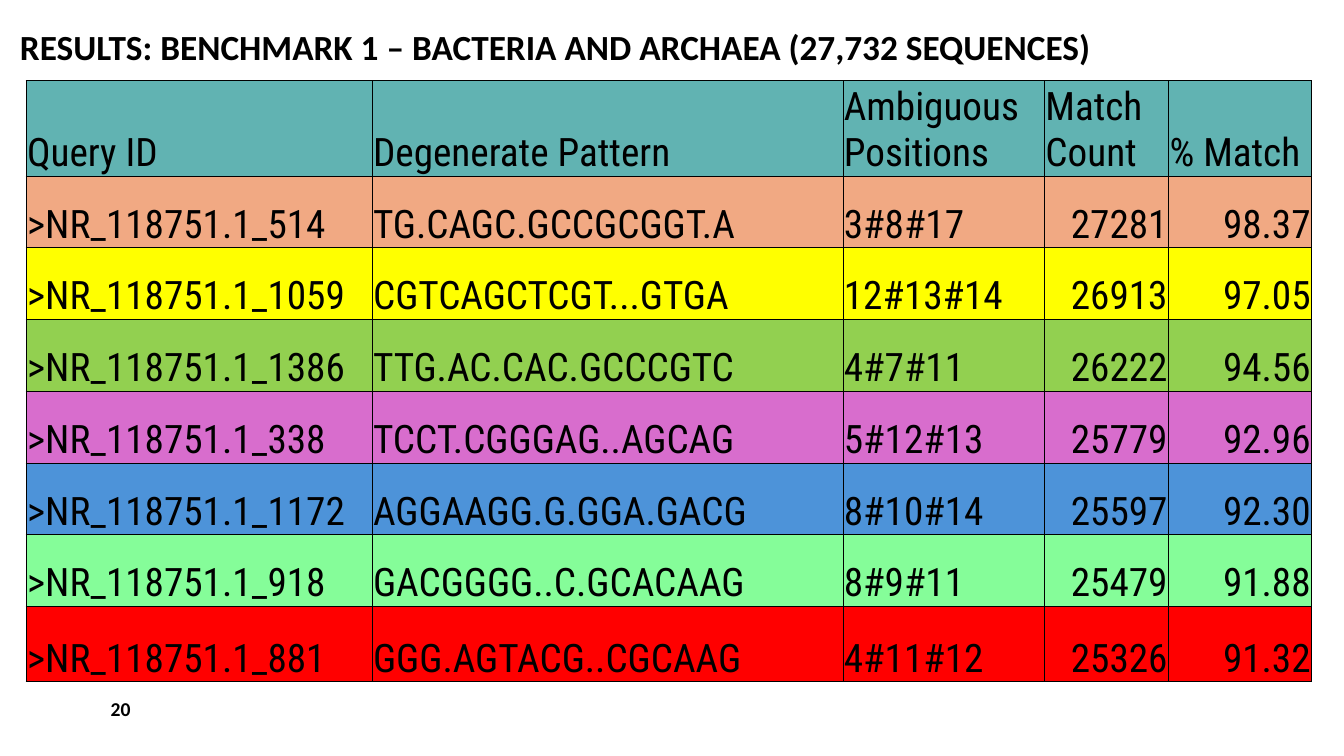
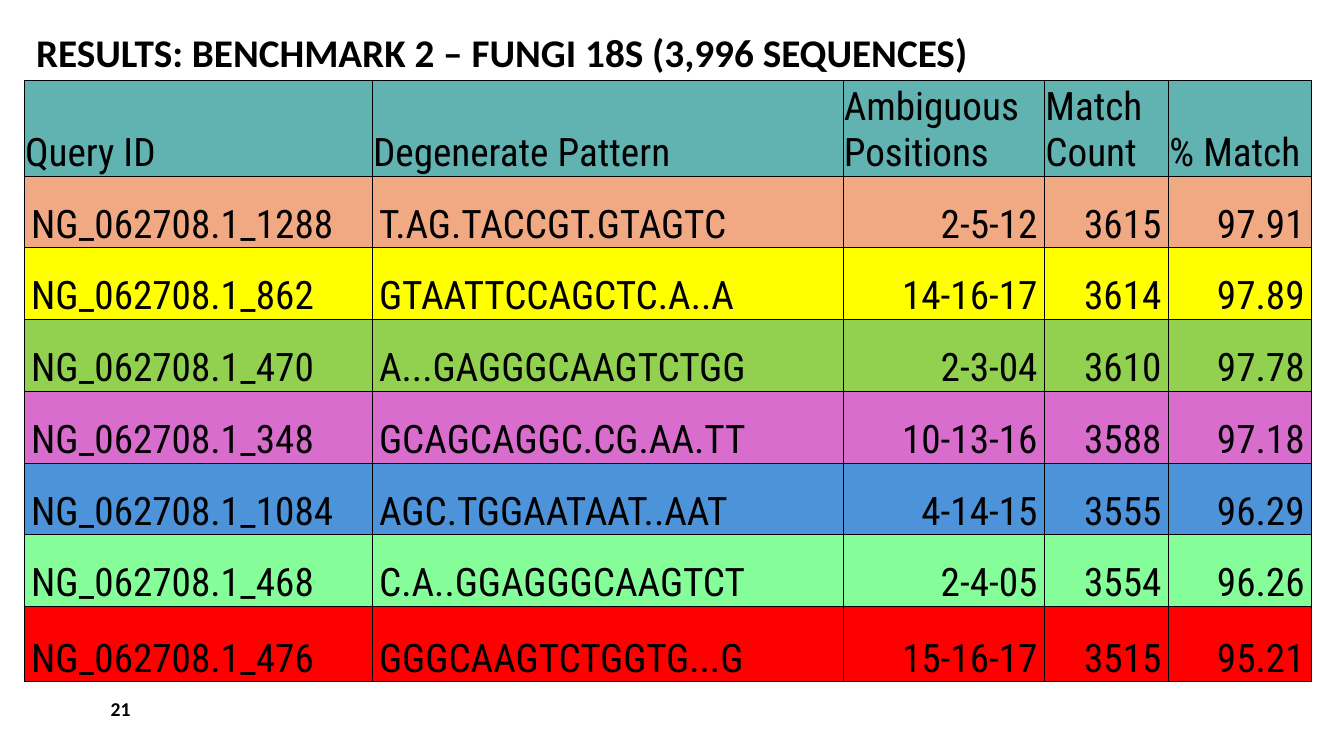
from lxml import etree
from pptx import Presentation
from pptx.dml.color import RGBColor
from pptx.enum.text import MSO_ANCHOR, PP_ALIGN
from pptx.oxml.ns import qn
from pptx.util import Inches, Pt

BOTTOM, MIDDLE = MSO_ANCHOR.BOTTOM, MSO_ANCHOR.MIDDLE
LEFT, RIGHT = PP_ALIGN.LEFT, PP_ALIGN.RIGHT

COLORS = {
    "ink": "000000",
    "paper": "FFFFFF",
    "header": "61B3B2",
    "peach": "F1A983",
    "yellow": "FFFF00",
    "green": "92D050",
    "orchid": "D86DCD",
    "blue": "4D93D9",
    "mint": "85FD99",
    "red": "FF0000",
}
ROW_COLORS = ["peach", "yellow", "green", "orchid", "blue", "mint", "red"]
HEADINGS = ["Query ID", "Degenerate Pattern", "Ambiguous Positions", "Match Count", "% Match"]

BACTERIA_ROWS = [
    (">NR_118751.1_514", "TG.CAGC.GCCGCGGT.A", "3#8#17", "27281", "98.37"),
    (">NR_118751.1_1059", "CGTCAGCTCGT...GTGA", "12#13#14", "26913", "97.05"),
    (">NR_118751.1_1386", "TTG.AC.CAC.GCCCGTC", "4#7#11", "26222", "94.56"),
    (">NR_118751.1_338", "TCCT.CGGGAG..AGCAG", "5#12#13", "25779", "92.96"),
    (">NR_118751.1_1172", "AGGAAGG.G.GGA.GACG", "8#10#14", "25597", "92.30"),
    (">NR_118751.1_918", "GACGGGG..C.GCACAAG", "8#9#11", "25479", "91.88"),
    (">NR_118751.1_881", "GGG.AGTACG..CGCAAG", "4#11#12", "25326", "91.32"),
]
FUNGI_ROWS = [
    ("NG_062708.1_1288", "T.AG.TACCGT.GTAGTC", "2-5-12", "3615", "97.91"),
    ("NG_062708.1_862", "GTAATTCCAGCTC.A..A", "14-16-17", "3614", "97.89"),
    ("NG_062708.1_470", "A...GAGGGCAAGTCTGG", "2-3-04", "3610", "97.78"),
    ("NG_062708.1_348", "GCAGCAGGC.CG.AA.TT", "10-13-16", "3588", "97.18"),
    ("NG_062708.1_1084", "AGC.TGGAATAAT..AAT", "4-14-15", "3555", "96.29"),
    ("NG_062708.1_468", "C.A..GGAGGGCAAGTCT", "2-4-05", "3554", "96.26"),
    ("NG_062708.1_476", "GGGCAAGTCTGGTG...G", "15-16-17", "3515", "95.21"),
]


class BenchmarkDeck:
    """Holds the deck style and current slide; lengths are percentages of the slide's size."""

    title_font = "Calibri"
    table_font = "Roboto Condensed"
    table_top, table_right = 10.67, 97.6
    later_columns = [35.03, 15, 9.23, 10.65]
    row_heights = [12.27] + [9.5] * 6 + [9.93]
    tight_margins = (0.01, 0.01, 0.01, 0)
    loose_margins = (0.07, 0, 0.07, 0)

    def __init__(self):
        self.deck = Presentation()
        self.deck.slide_width = Inches(13.33)
        self.deck.slide_height = Inches(7.5)
        self.slide = None

    def across(self, share):
        return round(self.deck.slide_width * share / 100)

    def down(self, share):
        return round(self.deck.slide_height * share / 100)

    def new_slide(self):
        self.slide = self.deck.slides.add_slide(self.deck.slide_layouts[6])
        fill = self.slide.background.fill
        fill.solid()
        fill.fore_color.rgb = RGBColor.from_string(COLORS["paper"])

    def set_text(self, frame, text, font, size, bold=False, align=LEFT, spacing=None):
        frame.text = text
        para = frame.paragraphs[0]
        para.alignment = align
        para.line_spacing = spacing
        span = para.runs[0]
        span.font.name = font
        span.font.size = Pt(size)
        span.font.bold = bold
        span.font.color.rgb = RGBColor.from_string(COLORS["ink"])

    def text_box(self, area, text, size, anchor, spacing=None):
        left, top, width, height = area
        box = self.slide.shapes.add_textbox(
            self.across(left), self.down(top), self.across(width), self.down(height))
        box.text_frame.word_wrap = True
        box.text_frame.vertical_anchor = anchor
        self.set_text(box.text_frame, text, self.title_font, size, bold=True, spacing=spacing)

    def title(self, text, area, size):
        self.text_box(area, text, size, BOTTOM, spacing=0.9)

    def page_number(self, number):
        self.text_box((7.5, 91.07, 21.9, 5.33), str(number), 14, MIDDLE)

    def borders(self, cell, outer_sides):
        properties = cell._tc.get_or_add_tcPr()
        for index, side in enumerate("LRTB"):
            width = Pt(1 if side in outer_sides else 0.5)
            line = etree.Element(qn(f"a:ln{side}"), w=str(width))
            fill = etree.SubElement(line, qn("a:solidFill"))
            etree.SubElement(fill, qn("a:srgbClr"), val=COLORS["ink"])
            properties.insert(index, line)

    def cell(self, cell, text, color, margins, align, spacing):
        cell.fill.solid()
        cell.fill.fore_color.rgb = RGBColor.from_string(COLORS[color])
        cell.vertical_anchor = BOTTOM
        cell.margin_left, cell.margin_top, cell.margin_right, cell.margin_bottom = map(Inches, margins)
        self.set_text(cell.text_frame, text, self.table_font, 28, align=align, spacing=spacing)

    def table(self, left, rows, left_columns, margins, spacing=None):
        first_column = self.table_right - left - sum(self.later_columns)
        widths = [first_column] + self.later_columns
        last_row, last_column = len(rows), len(widths) - 1
        table = self.slide.shapes.add_table(
            len(rows) + 1, len(widths), self.across(left), self.down(self.table_top),
            self.across(sum(widths)), self.down(sum(self.row_heights))).table
        table.first_row = table.horz_banding = False
        for column, width in zip(table.columns, widths):
            column.width = self.across(width)
        for row, height in zip(table.rows, self.row_heights):
            row.height = self.down(height)

        for r, (color, values) in enumerate(zip(["header"] + ROW_COLORS, [HEADINGS] + rows)):
            for c, text in enumerate(values):
                cell = table.cell(r, c)
                if r == 0:
                    self.cell(cell, text, color, self.tight_margins, LEFT, None)
                else:
                    align = LEFT if c < left_columns else RIGHT
                    self.cell(cell, text, color, margins, align, spacing)
                edges = {"L": c == 0, "R": c == last_column, "T": r == 0, "B": r == last_row}
                self.borders(cell, [side for side, outer in edges.items() if outer])


def main():
    show = BenchmarkDeck()

    show.new_slide()
    show.title("RESULTS: BENCHMARK 1 – BACTERIA AND ARCHAEA (27,732 SEQUENCES)",
               (0.75, 0, 99.25, 9.6), 25.2)
    show.page_number(20)
    show.table(1.95, BACTERIA_ROWS, 3, show.tight_margins)

    show.new_slide()
    show.title("RESULTS: BENCHMARK 2 – FUNGI 18S (3,996 SEQUENCES)",
               (1.95, 1.07, 95.65, 9.6), 28)
    show.page_number(21)
    show.table(1.8, FUNGI_ROWS, 2, show.loose_margins, spacing=1.07)

    show.deck.save("out.pptx")


if __name__ == "__main__":
    main()
